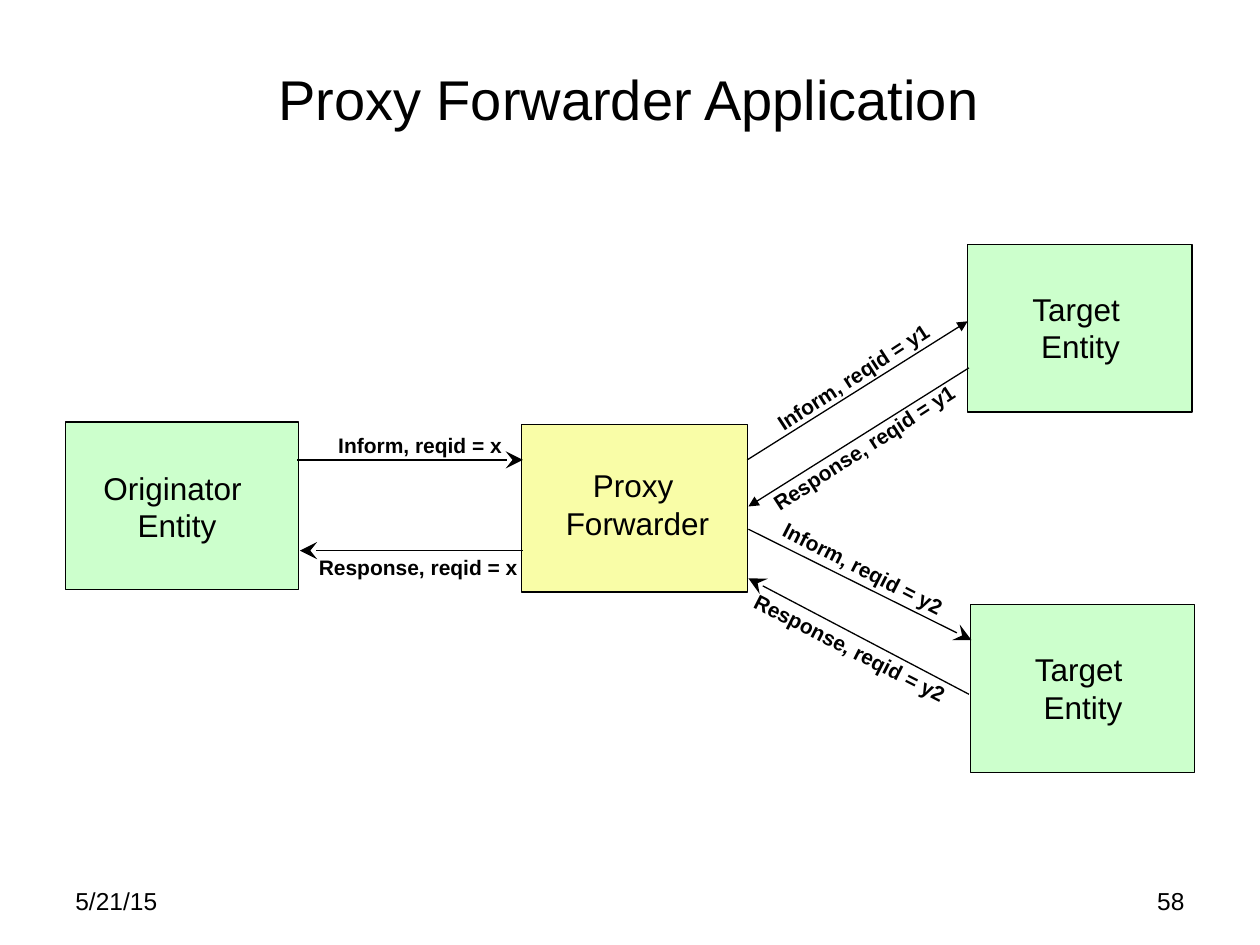
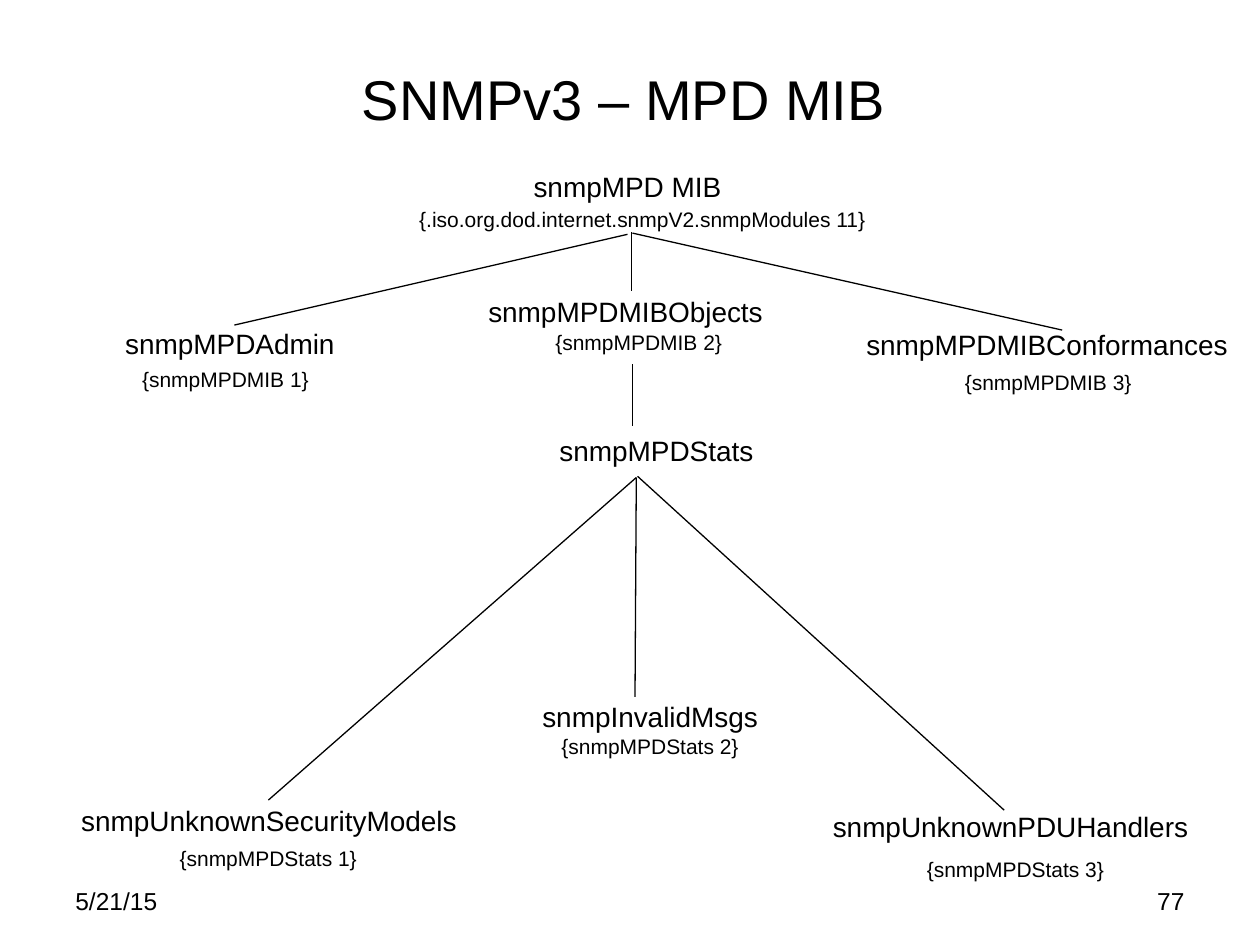
from dataclasses import dataclass

import lxml.etree
import pptx
import pptx.dml.color
import pptx.enum.shapes
import pptx.enum.text
import pptx.oxml.ns
import pptx.util

ALIGN = pptx.enum.text.PP_ALIGN
ANCHOR = pptx.enum.text.MSO_ANCHOR
COLUMNS, ROWS = 100, 75


@dataclass(frozen=True)
class Theme:
    """Colours, typeface and type sizes shared by the slides."""
    font: str = "Arial"
    ink: str = "000000"
    entity: str = "CCFFCC"
    proxy: str = "F9FDA7"
    title: int = 32
    box: int = 18
    node: int = 16
    footer: int = 14
    small: int = 12
    stroke: float = 0.75


def color(code):
    """Return the colour for a hex code."""
    return pptx.dml.color.RGBColor.from_string(code)


def write_text(frame, text, *, font, size, ink, align=ALIGN.CENTER, bold=False,
               anchor=ANCHOR.TOP, wrap=False):
    """Fill a text frame, one paragraph for each line of text."""
    frame.word_wrap = wrap
    frame.vertical_anchor = anchor
    fit = pptx.enum.text.MSO_AUTO_SIZE
    frame.auto_size = fit.NONE if wrap else fit.SHAPE_TO_FIT_TEXT
    for index, line in enumerate(text.split("\n")):
        para = frame.add_paragraph() if index else frame.paragraphs[0]
        para.alignment = align
        span = para.add_run()
        span.text = line
        span.font.name = font
        span.font.size = pptx.util.Pt(size)
        span.font.bold = bold
        span.font.color.rgb = color(ink)


class Page:
    """Draws elements on the current slide, placed by grid column and row."""

    def __init__(self, deck, theme):
        """Keep the deck and theme, and derive the grid cell from the slide size."""
        self.deck, self.theme, self.slide = deck, theme, None
        self.cell_width = deck.slide_width / COLUMNS
        self.cell_height = deck.slide_height / ROWS

    def place(self, column, row):
        """Turn columns and rows into slide lengths."""
        return round(column * self.cell_width), round(row * self.cell_height)

    def start(self, title, number, title_column):
        """Add a blank slide with its title, date and number."""
        self.slide = self.deck.slides.add_slide(self.deck.slide_layouts[6])
        self.text(title, title_column, 1.5, 90, 12.5, size=self.theme.title,
                  anchor=ANCHOR.MIDDLE, wrap=True)
        for text, column, align in (("5/21/15", 5, ALIGN.LEFT),
                                    (number, 71.7, ALIGN.RIGHT)):
            self.text(text, column, 69.8, 23.3, 5.2, size=self.theme.footer,
                      align=align, wrap=True)

    def text(self, text, column, row, width, height, rotation=0, **style):
        """Add a text box."""
        box = self.slide.shapes.add_textbox(*self.place(column, row),
                                            *self.place(width, height))
        box.rotation = rotation
        write_text(box.text_frame, text, font=self.theme.font,
                   ink=self.theme.ink, **style)

    def block(self, column, row, width, height, fill):
        """Add an outlined rectangle."""
        box = self.slide.shapes.add_shape(
            pptx.enum.shapes.MSO_SHAPE.RECTANGLE,
            *self.place(column, row), *self.place(width, height))
        box.shadow.inherit = False
        box.fill.solid()
        box.fill.fore_color.rgb = color(fill)
        box.line.color.rgb = color(self.theme.ink)
        box.line.width = pptx.util.Pt(self.theme.stroke)

    def line(self, start, end, arrow=None, arrow_size="med"):
        """Add a straight line, with an arrowhead at its end if one is named."""
        line = self.slide.shapes.add_connector(
            pptx.enum.shapes.MSO_CONNECTOR.STRAIGHT,
            *self.place(*start), *self.place(*end))
        line.line.color.rgb = color(self.theme.ink)
        line.line.width = pptx.util.Pt(self.theme.stroke)
        qualify = pptx.oxml.ns.qn
        properties = line._element.spPr
        if arrow:
            lxml.etree.SubElement(properties.find(qualify("a:ln")), qualify("a:tailEnd"),
                                  type=arrow, w=arrow_size, len=arrow_size)
        lxml.etree.SubElement(properties, qualify("a:effectLst"))


def draw_proxy_forwarder(page):
    """Draw the entities around the proxy and the messages between them."""
    theme = page.theme
    page.start("Proxy Forwarder Application", "58", 4.9)

    target = "Target \nEntity"
    entities = (
        ("Originator \nEntity", (5.2, 33.5, 18.5), (7.2, 36.7, 13.7), theme.entity),
        ("Proxy \nForwarder", (41.4, 33.7, 17.9), (43.9, 36.5, 13.4), theme.proxy),
        (target, (76.8, 19.4, 17.8), (80.8, 22.5, 9.9), theme.entity),
        (target, (77, 48, 17.8), (81, 51.1, 9.9), theme.entity),
    )
    for name, block, label, fill in entities:
        page.block(*block, 13.3, fill)
        page.text(name, *label, 7, size=theme.box)

    open_arrow, solid_arrow = ("stealth", "lg"), ("triangle", "med")
    messages = (
        ("Inform, reqid = x", (25.8, 33.8, 15.1), 0,
         (23.6, 36.5), (41.5, 36.5), open_arrow),
        ("Response, reqid = x", (24.3, 43.5, 17.8), 0,
         (41.5, 43.7), (23.8, 43.7), open_arrow),
        ("Inform, reqid = y1", (59.7, 28.4, 16), 327,
         (59.3, 36.5), (76.8, 25.5), solid_arrow),
        ("Response, reqid = y1", (59.2, 34, 18.7), 327,
         (76.9, 29.2), (59.4, 40.2), solid_arrow),
        ("Inform, reqid = y2", (60.5, 43.6, 16), 27,
         (59.4, 42), (77.1, 50.8), open_arrow),
        ("Response, reqid = y2", (58.1, 49.9, 18.7), 27,
         (76.9, 55.1), (59.4, 45.9), open_arrow),
    )
    for text, label, rotation, start, end, arrow in messages:
        page.line(start, end, *arrow)
        page.text(text, *label, 3, rotation, size=theme.small, bold=True)


def draw_mpd_mib(page):
    """Draw the MIB tree with each node's name and identifier."""
    theme = page.theme
    page.start("SNMPv3 – MPD MIB", "77", 4.5)

    branches = (
        ((49.8, 18.6), (18.6, 25.8)),
        ((50.1, 18.4), (50.1, 23.1)),
        ((50.2, 18.5), (84.3, 26.2)),
        ((50.2, 28.9), (50.2, 33.8)),
        ((50.5, 37.9), (21.3, 63.5)),
        ((50.5, 37.9), (50.4, 55.3)),
        ((50.6, 37.8), (79.7, 64.3)),
    )
    for start, end in branches:
        page.line(start, end)

    names = (
        ("snmpMPD MIB", 41.3, 13, 17),
        ("snmpMPDAdmin", 8.9, 25.4, 18.7),
        ("snmpMPDMIBObjects", 37.7, 22.9, 23.9),
        ("snmpMPDMIBConformances", 67.7, 25.5, 30.8),
        ("snmpMPDStats", 43.4, 33.9, 17.4),
        ("snmpUnknownSecurityModels", 5.4, 63.3, 31.9),
        ("snmpInvalidMsgs", 42, 55, 19.2),
        ("snmpUnknownPDUHandlers", 65.1, 63.8, 30.2),
    )
    identifiers = (
        ("{.iso.org.dod.internet.snmpV2.snmpModules 11}", 32, 15.9, 38),
        ("{snmpMPDMIB 1}", 9.9, 28.6, 16),
        ("{snmpMPDMIB 2}", 42.7, 25.7, 16),
        ("{snmpMPDMIB 3}", 75.2, 28.8, 16),
        ("{snmpMPDStats 1}", 12.8, 66.6, 17),
        ("{snmpMPDStats 2}", 43.1, 57.7, 17),
        ("{snmpMPDStats 3}", 72.1, 67.5, 17),
    )
    for labels, height, size in ((names, 3.7, theme.node),
                                 (identifiers, 3, theme.small)):
        for text, column, row, width in labels:
            page.text(text, column, row, width, height, size=size)


def main():
    """Build and save the deck."""
    deck = pptx.Presentation()
    deck.slide_width = pptx.util.Inches(10)
    deck.slide_height = pptx.util.Inches(7.5)
    page = Page(deck, Theme())
    draw_proxy_forwarder(page)
    draw_mpd_mib(page)
    deck.save("out.pptx")


if __name__ == "__main__":
    main()
